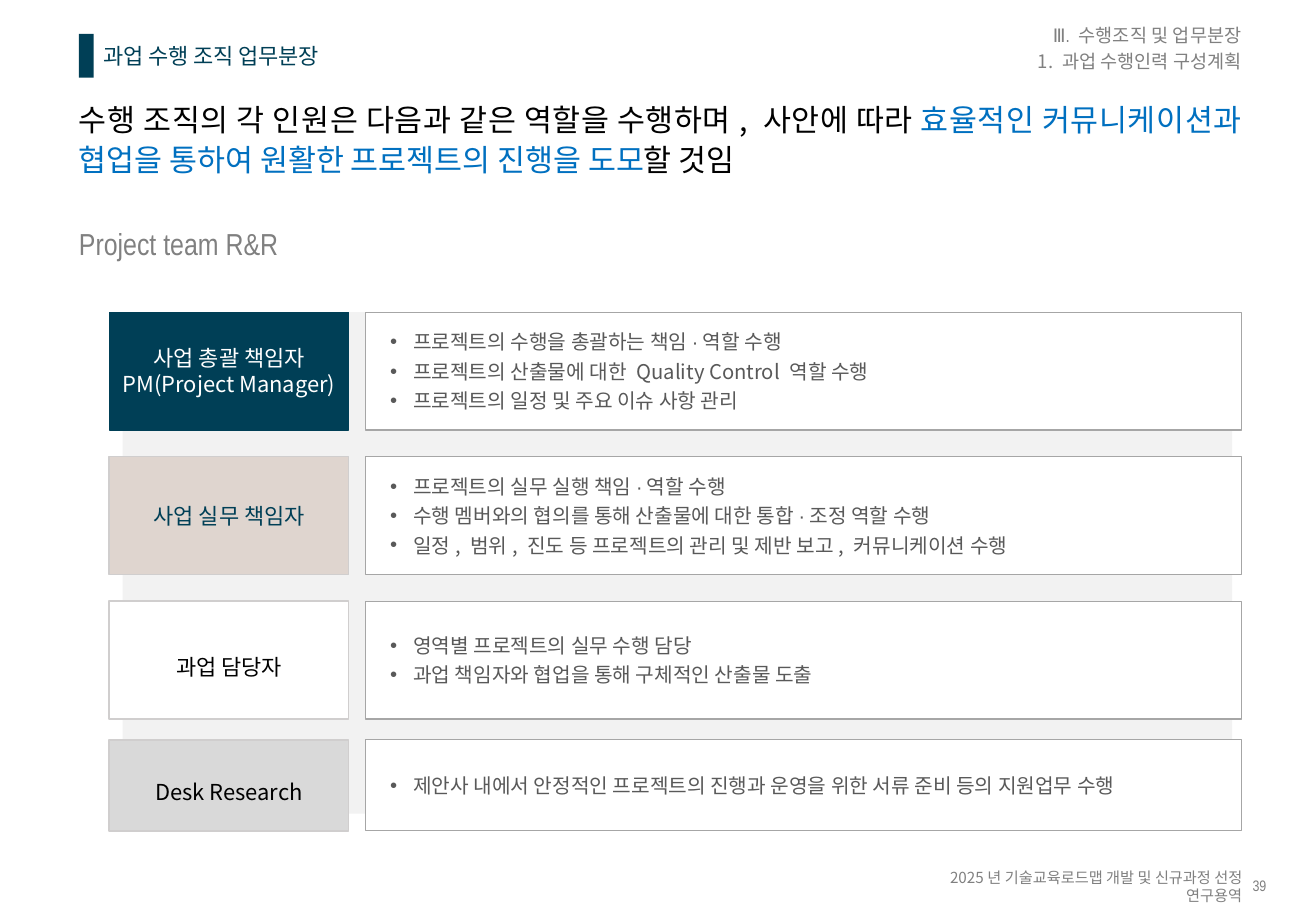
from lxml.etree import SubElement
from pptx import Presentation
from pptx.dml.color import RGBColor
from pptx.enum.shapes import MSO_SHAPE
from pptx.enum.text import MSO_ANCHOR, PP_ALIGN
from pptx.oxml.ns import qn
from pptx.util import Inches, Pt

NOTO, NARROW = "Noto Sans CJK KR", "Arial Narrow"
NAVY, BLUE, GRAY, BLACK, WHITE = "003F56", "0070C0", "808080", "000000", "FFFFFF"
LABEL_LINE, DUTY_LINE, DUTY_TEXT = "D0CECE", "A6A6A6", "595959"
RIGHT_EDGE = 10.22

# label lines, label fill, label line, label text colour, line spacing, top, height, duties
ROLES = [
    (["사업 총괄 책임자", "PM(Project Manager)"], NAVY, NAVY, WHITE, 1, 2.57, 0.97,
     ["프로젝트의 수행을 총괄하는 책임·역할 수행",
      "프로젝트의 산출물에 대한 Quality Control 역할 수행",
      "프로젝트의 일정 및 주요 이슈 사항 관리"]),
    (["사업 실무 책임자"], "DFD5CF", LABEL_LINE, NAVY, 1, 3.76, 0.97,
     ["프로젝트의 실무 실행 책임·역할 수행",
      "수행 멤버와의 협의를 통해 산출물에 대한 통합·조정 역할 수행",
      "일정, 범위, 진도 등 프로젝트의 관리 및 제반 보고, 커뮤니케이션 수행"]),
    (["과업 담당자"], WHITE, LABEL_LINE, BLACK, 1.5, 4.95, 0.97,
     ["영역별 프로젝트의 실무 수행 담당",
      "과업 책임자와 협업을 통해 구체적인 산출물 도출"]),
    (["Desk Research"], "D9D9D9", LABEL_LINE, BLACK, 1.5, 6.09, 0.75,
     ["제안사 내에서 안정적인 프로젝트의 진행과 운영을 위한 서류 준비 등의 지원업무 수행"]),
]


def color(value):
    return RGBColor.from_string(value)


def format_run(run, size, font_name, text_color):
    run.font.size = Pt(size)
    run.font.name = font_name
    run.font.color.rgb = color(text_color)
    SubElement(run.font._element, qn("a:ea"), typeface=font_name)


def set_frame(text_frame, insets=(0, 0, 0, 0), anchor=MSO_ANCHOR.MIDDLE):
    text_frame.word_wrap = True
    text_frame.vertical_anchor = anchor
    (text_frame.margin_left, text_frame.margin_top,
     text_frame.margin_right, text_frame.margin_bottom) = map(Inches, insets)


def fill_paragraph(paragraph, runs, size, align=PP_ALIGN.LEFT, spacing=1):
    """Add runs given as (text, font, colour)."""
    paragraph.alignment = align
    paragraph.line_spacing = spacing
    for text, font_name, text_color in runs:
        run = paragraph.add_run()
        run.text = text
        format_run(run, size, font_name, text_color)


def add_paragraphs(text_frame, count):
    return [text_frame.paragraphs[0]] + [text_frame.add_paragraph() for _ in range(count - 1)]


def add_text(slide, box, lines, size, align=PP_ALIGN.LEFT, spacing=1, **frame):
    text_frame = slide.shapes.add_textbox(*map(Inches, box)).text_frame
    set_frame(text_frame, **frame)
    paragraphs = add_paragraphs(text_frame, len(lines))
    for paragraph, runs in zip(paragraphs, lines):
        fill_paragraph(paragraph, runs, size, align, spacing)
    for paragraph in paragraphs[1:]:
        paragraph.space_before = Pt(size * 0.2)


def add_box(slide, box, fill, line=None, width=0.75):
    shape = slide.shapes.add_shape(MSO_SHAPE.RECTANGLE, *map(Inches, box))
    shape.shadow.inherit = False
    shape.fill.solid()
    shape.fill.fore_color.rgb = color(fill)
    if line:
        shape.line.color.rgb = color(line)
        shape.line.width = Pt(width)
    else:
        shape.line.fill.background()
    return shape


def add_bullet(paragraph):
    properties = paragraph._p.get_or_add_pPr()
    properties.set("marL", str(Inches(0.19)))
    properties.set("indent", str(-Inches(0.19)))
    SubElement(properties, qn("a:buFont"), typeface="Arial")
    SubElement(properties, qn("a:buChar"), char="•")


def add_header(slide, left, top):
    add_box(slide, (left, top, 0.12, 0.36), NAVY)
    add_text(slide, (left + 0.12, top, 6.73, 0.36),
             [[("과업 수행 조직 업무분장", NARROW, NAVY)]], 13, insets=(0.08, 0, 0, 0))
    add_text(slide, (RIGHT_EDGE - 2.24, top - 0.13, 2.24, 0.49),
             [[("Ⅲ. 수행조직 및 업무분장", NARROW, GRAY)],
              [("1. 과업 수행인력 구성계획", NOTO, GRAY)]], 11, PP_ALIGN.RIGHT)
    add_text(slide, (left, top + 0.43, RIGHT_EDGE - left, 0.89),
             [[("수행 조직의 각 인원은 다음과 같은 역할을 수행하며, 사안에 따라 ", NOTO, BLACK),
               ("효율적인 커뮤니케이션과 협업을 통하여 원활한 프로젝트의 진행을 도모", NOTO, BLUE),
               ("할 것임", NOTO, BLACK)]], 18, PP_ALIGN.JUSTIFY, 1.1,
             insets=(0, 0.09, 0, 0), anchor=MSO_ANCHOR.TOP)
    add_text(slide, (left, top + 1.54, 2.89, 0.36),
             [[("Project team R&R", NARROW, GRAY)]], 18)


def add_role(slide, left, role):
    """Place a role label and the box of its duties side by side."""
    names, fill, line, text_color, spacing, top, height, duties = role
    label = add_box(slide, (left, top, 1.97, height), fill, line,
                    0.75 if line == fill else 1)
    set_frame(label.text_frame, (0, 0.05, 0, 0.05))
    for paragraph, name in zip(add_paragraphs(label.text_frame, len(names)), names):
        fill_paragraph(paragraph, [(name, NOTO, text_color)], 13, PP_ALIGN.CENTER, spacing)

    duties_left = left + 2.11
    duty_box = add_box(slide, (duties_left, top, RIGHT_EDGE - duties_left, height),
                       WHITE, DUTY_LINE)
    set_frame(duty_box.text_frame, (0.2, 0.05, 0, 0.05))
    for paragraph, duty in zip(add_paragraphs(duty_box.text_frame, len(duties)), duties):
        add_bullet(paragraph)
        runs = [(text, NARROW if text == "·" else NOTO, DUTY_TEXT)
                for text in duty.partition("·") if text]
        fill_paragraph(paragraph, runs, 12)
        paragraph.space_after = Pt(3)


def add_roles(slide, left, top):
    add_box(slide, (left + 0.11, top, 9.13, 4.13), "F2F2F2")
    for role in ROLES:
        add_role(slide, left, role)


def add_footer(slide, top):
    add_text(slide, (RIGHT_EDGE - 2.82, top, 2.82, 0.15),
             [[("2025년 기술교육로드맵 개발 및 신규과정 선정 연구용역", NOTO, GRAY)]],
             9, PP_ALIGN.RIGHT)
    add_text(slide, (RIGHT_EDGE + 0.08, top + 0.01, 0.13, 0.14),
             [[("39", NARROW, GRAY)]], 9, PP_ALIGN.CENTER, 0.9)


def main():
    presentation = Presentation()
    presentation.slide_width = Inches(10.83)
    presentation.slide_height = Inches(7.5)
    slide = presentation.slides.add_slide(presentation.slide_layouts[6])
    add_header(slide, 0.65, 0.28)
    add_roles(slide, 0.9, 2.57)
    add_footer(slide, 7.22)
    presentation.save("out.pptx")


if __name__ == "__main__":
    main()
